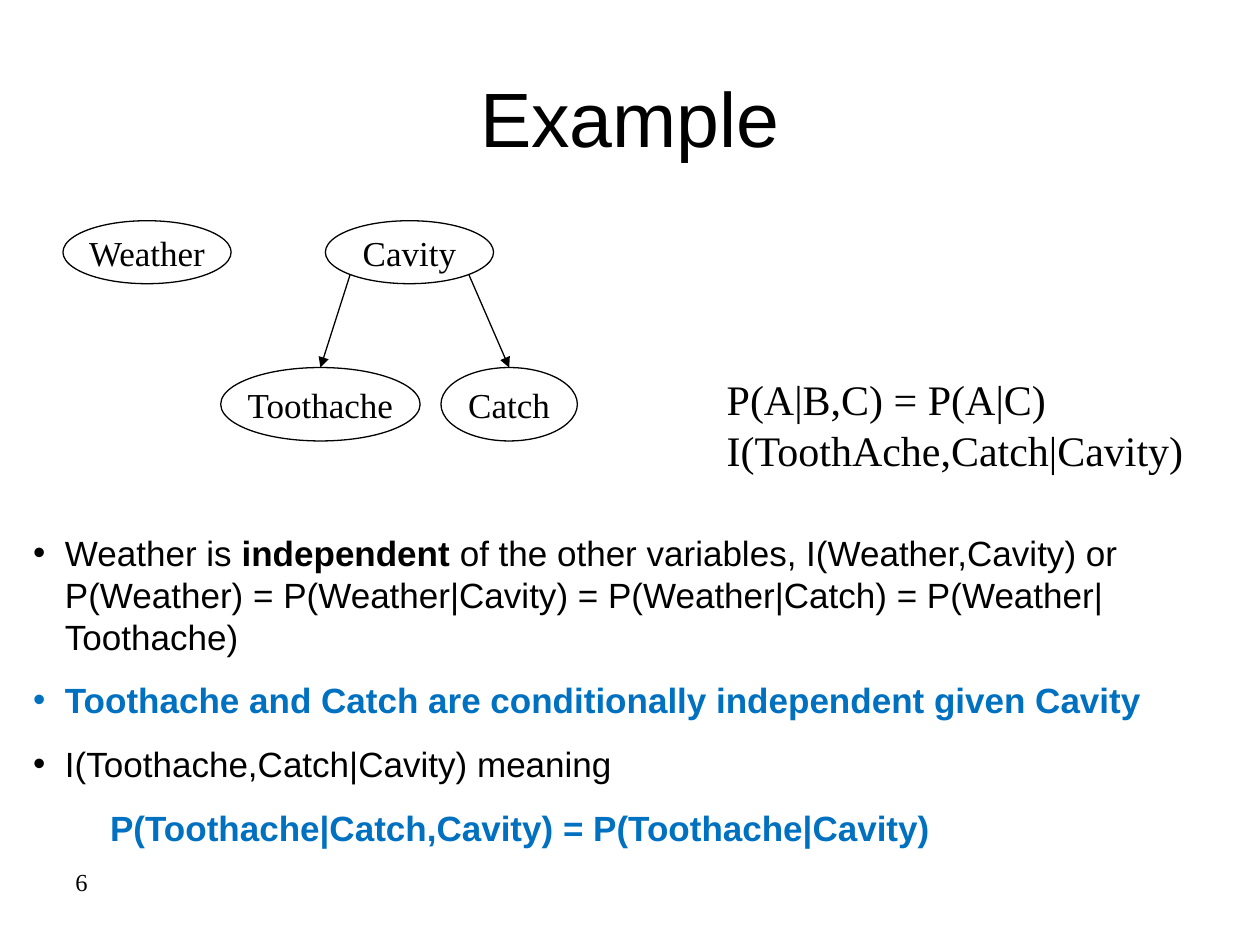
from lxml import etree
from pptx import Presentation
from pptx import util as u
from pptx.dml.color import RGBColor
from pptx.enum import shapes, text
from pptx.oxml.ns import qn

BLACK, BLUE = "000000", "0070C0"
SERIF, SANS = "Times New Roman", "Arial"


def style(para, size, face, tone=BLACK, bold=False):
    for run in para.runs:
        run.font.size = u.Pt(size)
        run.font.name = face
        run.font.bold = bold
        run.font.color.rgb = RGBColor.from_string(tone)


def add_text(left, top, wide, high, lines, size, face):
    box = slide.shapes.add_textbox(u.Cm(left), u.Cm(top), u.Cm(wide), u.Cm(high))
    frame = box.text_frame
    frame.word_wrap = True
    frame.text = "\n".join(lines)
    for para in frame.paragraphs:
        para.line_spacing = u.Pt(size * 1.2)
        style(para, size, face)
    return frame


deck = Presentation()
deck.slide_width, deck.slide_height = u.Cm(25.4), u.Cm(19.05)
slide = deck.slides.add_slide(deck.slide_layouts[5])

title = slide.shapes.title
title.left, title.top = u.Cm(1.27), u.Cm(0.76)
title.width, title.height = u.Cm(22.86), u.Cm(3.18)
title.text_frame.text = "Example"
title.text_frame.vertical_anchor = text.MSO_ANCHOR.MIDDLE
head = title.text_frame.paragraphs[0]
head.alignment = text.PP_ALIGN.CENTER
style(head, 44, SANS)

nodes = {}
for name, left, top, wide, high in [
    ("Weather", 1.27, 4.45, 3.39, 1.27),
    ("Cavity", 6.56, 4.45, 3.39, 1.27),
    ("Toothache", 4.45, 7.41, 4.02, 1.48),
    ("Catch", 8.89, 7.41, 2.75, 1.48),
]:
    node = slide.shapes.add_shape(
        shapes.MSO_SHAPE.OVAL, u.Cm(left), u.Cm(top), u.Cm(wide), u.Cm(high))
    node.shadow.inherit = False
    node.fill.background()
    node.line.color.rgb = RGBColor.from_string(BLACK)
    node.line.width = u.Pt(0.75)
    frame = node.text_frame
    frame.word_wrap = False
    frame.vertical_anchor = text.MSO_ANCHOR.MIDDLE
    frame.text = name
    frame.paragraphs[0].alignment = text.PP_ALIGN.CENTER
    style(frame.paragraphs[0], 20, SERIF)
    nodes[name] = node

for name, left in [("Toothache", 7.06), ("Catch", 9.45)]:
    child = nodes[name]
    link = slide.shapes.add_connector(
        shapes.MSO_CONNECTOR.STRAIGHT, u.Cm(left), u.Cm(5.53),
        child.left + child.width // 2, child.top)
    link.end_connect(child, 0)
    link.line.color.rgb = RGBColor.from_string(BLACK)
    link.line.width = u.Pt(0.75)
    etree.SubElement(link.line._get_or_add_ln(), qn("a:tailEnd"), type="triangle")
    etree.SubElement(link._element.spPr, qn("a:effectLst"))

add_text(14.4, 7.41, 12.7, 2.29,
         ["P(A|B,C) = P(A|C)", "I(ToothAche,Catch|Cavity)"], 24, SERIF)

notes = add_text(0.42, 10.58, 24.97, 6.65, [
    "",
    "Toothache and Catch are conditionally independent given Cavity",
    "I(Toothache,Catch|Cavity) meaning",
    "P(Toothache|Catch,Cavity) = P(Toothache|Cavity)",
], 20, SANS)
first = notes.paragraphs[0]
for part in [
    "Weather is ",
    "independent",
    " of the other variables, I(Weather,Cavity) or P(Weather) = P(Weather|Cavity)"
    " = P(Weather|Catch) = P(Weather|Toothache)",
]:
    first.add_run().text = part
style(first, 20, SANS)
first.runs[1].font.bold = True

for para, tone, mark in zip(
        notes.paragraphs, [BLACK, BLUE, BLACK, BLUE], [True, True, True, False]):
    para.space_before = u.Pt(12.5)
    if tone == BLUE:
        style(para, 20, SANS, BLUE, True)
    props = para._p.get_or_add_pPr()
    if mark:
        props.set("marL", str(u.Cm(0.64)))
        props.set("indent", str(-u.Cm(0.64)))
        paint = etree.SubElement(props, qn("a:buClr"))
        etree.SubElement(paint, qn("a:srgbClr"), val=tone)
        etree.SubElement(props, qn("a:buFont"), typeface=SANS)
        etree.SubElement(props, qn("a:buChar"), char="•")
    else:
        props.set("marL", str(u.Cm(1.55)))

add_text(1.27, 17.35, 5.92, 1.32, ["6"], 14, SERIF)

deck.save("out.pptx")
